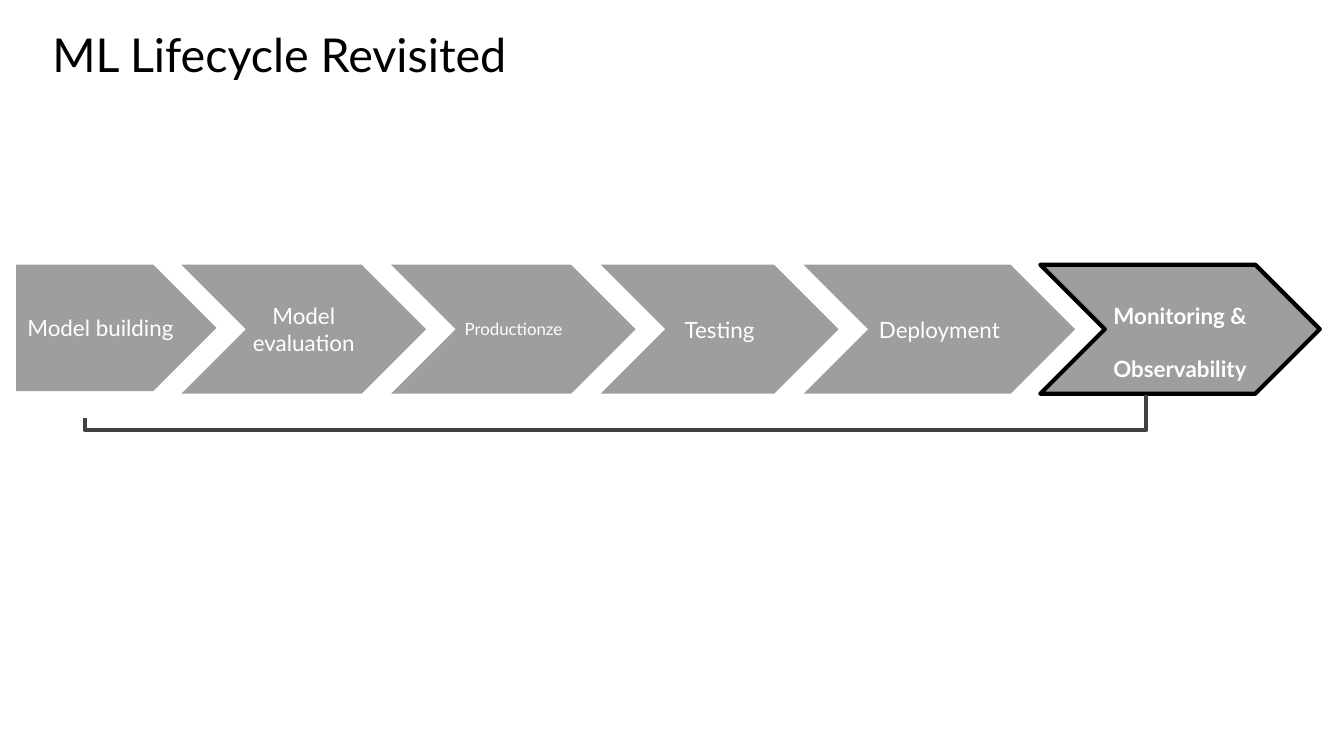
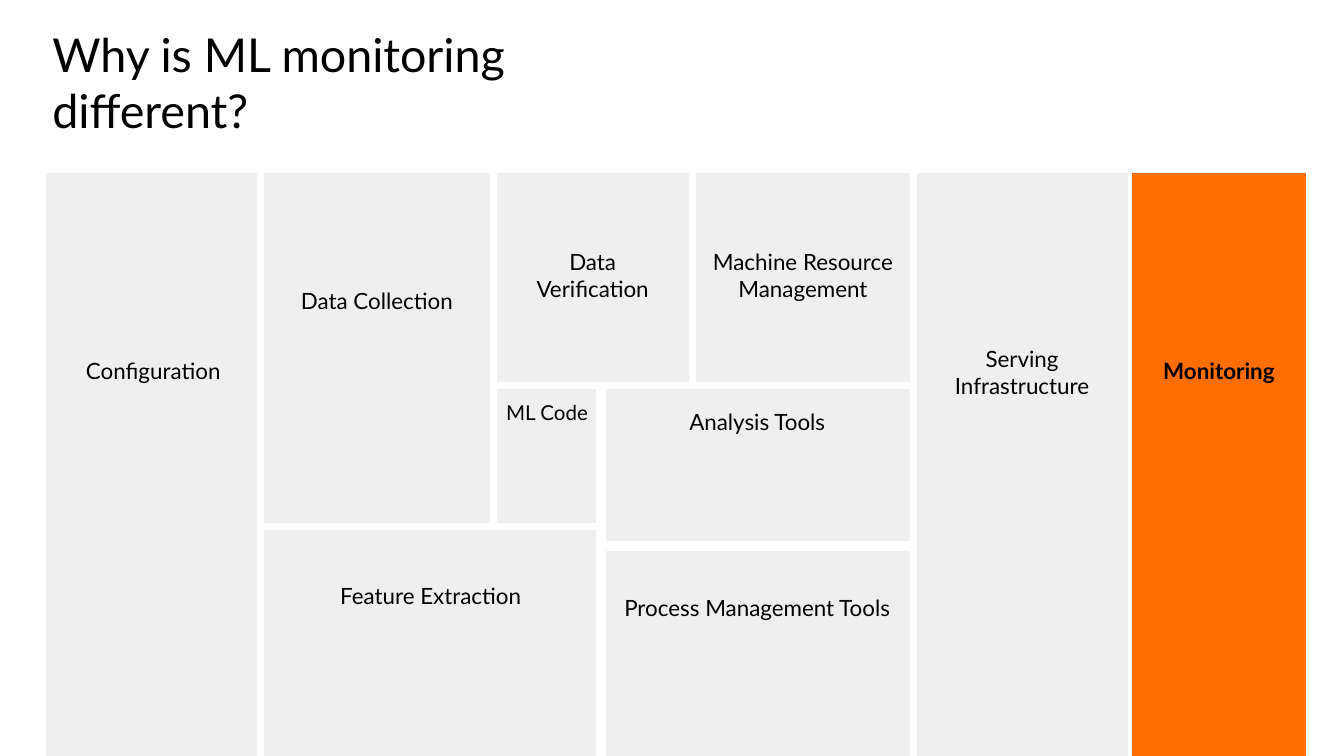
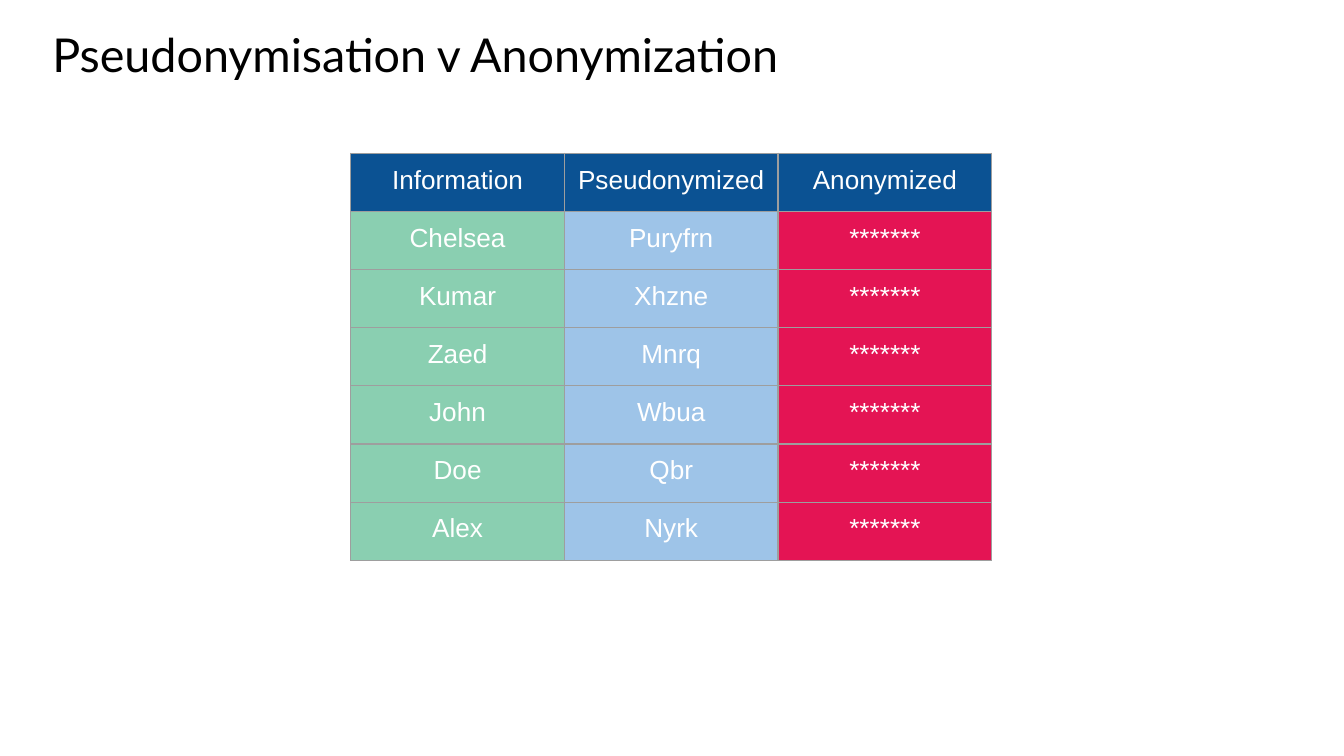
from lxml import etree
from pptx import Presentation
from pptx import util as u
from pptx.dml.color import RGBColor
from pptx.enum import shapes, text
from pptx.oxml import ns

FONT = "Lato"
BLACK, WHITE = "000000", "FFFFFF"
GRAY, DARK_GRAY, PALE_GRAY = "9E9E9E", "424242", "EFEFEF"
ORANGE, NAVY = "FF6E00", "0B5293"
MINT, SKY, CRIMSON = "8ACFB1", "9EC4E8", "E41454"
PLAIN_TABLE = "{2D5ABB26-0587-4C30-8999-92F81FD0307C}"
TITLE_ONLY = 5


def color(value):
    return RGBColor.from_string(value)


def style_text(frame, size, ink, font=FONT, bold=False, align=text.PP_ALIGN.CENTER):
    for para in frame.paragraphs:
        para.alignment = align
        for span in para.runs:
            span.font.name = font
            span.font.size = u.Pt(size)
            span.font.bold = bold
            span.font.color.rgb = color(ink)


def set_margins(target, top=0, side=0):
    target.margin_left = target.margin_right = u.Inches(side)
    target.margin_top, target.margin_bottom = u.Inches(top), 0


def add_titled_slide(deck, title, width):
    slide = deck.slides.add_slide(deck.slide_layouts[TITLE_ONLY])
    box = slide.shapes.title
    box.left, box.top = u.Inches(0.38), u.Inches(0.17)
    box.width, box.height = u.Inches(width), u.Inches(0.45)
    frame = box.text_frame
    frame.text = title
    set_margins(frame, top=0.02, side=0.01)
    frame.vertical_anchor = text.MSO_ANCHOR.TOP
    frame.word_wrap = True
    frame.auto_size = text.MSO_AUTO_SIZE.SHAPE_TO_FIT_TEXT
    style_text(frame, 25, BLACK, align=text.PP_ALIGN.LEFT)
    return slide


def add_stage(slide, preset, label, left, width, height, size=12, bold=False):
    stage = slide.shapes.add_shape(preset, u.Inches(left), u.Inches(1.97),
                                   u.Inches(width), u.Inches(height))
    stage.shadow.inherit = False
    stage.fill.solid()
    stage.fill.fore_color.rgb = color(GRAY)
    stage.line.fill.background()
    frame = stage.text_frame
    frame.text = label
    frame.word_wrap = True
    frame.vertical_anchor = text.MSO_ANCHOR.MIDDLE
    set_margins(frame)
    style_text(frame, size, WHITE, bold=bold)
    return stage


def add_open_path(slide, points, ink, weight):
    start, *rest = [(u.Inches(x), u.Inches(y)) for x, y in points]
    builder = slide.shapes.build_freeform(*start)
    builder.add_line_segments(rest, close=False)
    outline = builder.convert_to_shape()
    outline.shadow.inherit = False
    outline.fill.background()
    outline.line.color.rgb = color(ink)
    outline.line.width = u.Pt(weight)


def add_plain_table(slide, rows, columns, left, top, width, height):
    table = slide.shapes.add_table(rows, columns, u.Inches(left), u.Inches(top),
                                   u.Inches(width), u.Inches(height)).table
    table.first_row = table.horz_banding = False
    table._tbl.tblPr.find(ns.qn("a:tableStyleId")).text = PLAIN_TABLE
    return table


def set_borders(cell, ink, weights):
    """Draw the sides in weights (L, R, T, B to points); call before filling the cell."""
    properties = cell._tc.get_or_add_tcPr()
    for side, weight in weights.items():
        line = etree.SubElement(properties, ns.qn(f"a:ln{side}"), w=str(u.Pt(weight)))
        fill = etree.SubElement(line, ns.qn("a:solidFill"))
        etree.SubElement(fill, ns.qn("a:srgbClr"), val=ink)


def fill_cell(cell, fill):
    cell.fill.solid()
    cell.fill.fore_color.rgb = color(fill)


def write_cell(cell, label, top, side=0, **style):
    set_margins(cell, top, side)
    cell.vertical_anchor = text.MSO_ANCHOR.TOP
    cell.text_frame.text = label
    style_text(cell.text_frame, **style)


def add_lifecycle(deck):
    slide = add_titled_slide(deck, "ML Lifecycle Revisited", 3.44)
    pentagon = shapes.MSO_SHAPE.PENTAGON
    chevron = shapes.MSO_SHAPE.CHEVRON
    overlap = 0.26
    stages = [
        (pentagon, "Model building", 1.49, 0.94, 12),
        (chevron, "Model evaluation", 1.82, 0.96, 12),
        (chevron, "Productionze", 1.82, 0.96, 9),
        (chevron, "Testing", 1.77, 0.96, 12),
        (chevron, "Deployment", 2.02, 0.96, 12),
    ]
    left = 0.12
    for preset, label, width, height, size in stages:
        add_stage(slide, preset, label, left, width, height, size)
        left += width - overlap

    monitoring = add_stage(slide, chevron, "Monitoring & Observability",
                           left, 2.08, 0.96, bold=True)
    monitoring.line.color.rgb = color(BLACK)
    monitoring.line.width = u.Pt(2.25)
    monitoring.text_frame.paragraphs[0].line_spacing = u.Pt(28.4)

    feedback = [(8.53, 2.94), (8.53, 3.2), (0.63, 3.2), (0.63, 3.11)]
    add_open_path(slide, feedback, DARK_GRAY, 2.25)


def add_system_map(deck):
    slide = add_titled_slide(deck, "Why is ML monitoring different?", 4.8)
    widths = [1.6, 1.73, 0.8, 0.68, 1.65, 1.61, 1.32]
    heights = [1.58, 1.05, 0.14, 1.57]
    table = add_plain_table(slide, len(heights), len(widths),
                            0.34, 1.29, sum(widths), sum(heights))
    for column, width in zip(table.columns, widths):
        column.width = u.Inches(width)
    for row, height in zip(table.rows, heights):
        row.height = u.Inches(height)

    # Label, first row, first column, rows, columns, space above, space beside
    blocks = [
        ("Conﬁguration", 0, 0, 4, 1, 1.37, 0),
        ("Data Collection", 0, 1, 2, 1, 0.85, 0),
        ("Data Veriﬁcation", 0, 2, 1, 2, 0.56, 0.25),
        ("Machine Resource Management", 0, 4, 1, 1, 0.56, 0.1),
        ("Serving Infrastructure", 0, 5, 4, 1, 1.28, 0.25),
        ("Monitoring", 0, 6, 4, 1, 1.37, 0),
        ("ML Code", 1, 2, 1, 1, 0.11, 0),
        ("Analysis Tools", 1, 3, 2, 2, 0.17, 0),
        ("Feature Extraction", 2, 1, 2, 2, 0.41, 0),
        ("Process Management Tools", 3, 3, 1, 2, 0.36, 0),
    ]
    gap = 4.25
    column_gaps, row_gaps = {3: 6, 6: 2.25}, {3: 6}
    for label, top, left, rows, columns, space, side in blocks:
        bottom, right = top + rows, left + columns
        featured = label == "Monitoring"
        weights = {}
        if left > 0:
            weights["L"] = column_gaps.get(left, gap)
        if right < len(widths):
            weights["R"] = column_gaps.get(right, gap)
        if top > 0:
            weights["T"] = row_gaps.get(top, gap)
        if bottom < len(heights):
            weights["B"] = row_gaps.get(bottom, gap)
        block = table.cell(top, left)
        if rows * columns > 1:
            block.merge(table.cell(bottom - 1, right - 1))
        set_borders(block, WHITE, weights)
        fill_cell(block, ORANGE if featured else PALE_GRAY)
        write_cell(block, label, space, side, size=11 if label == "ML Code" else 12,
                   ink=BLACK, bold=featured)


def add_name_table(deck):
    slide = add_titled_slide(deck, "Pseudonymisation v Anonymization", 5.48)
    masked = "*******"
    names = [("Chelsea", "Puryfrn"), ("Kumar", "Xhzne"), ("Zaed", "Mnrq"),
             ("John", "Wbua"), ("Doe", "Qbr"), ("Alex", "Nyrk")]
    records = [("Information", "Pseudonymized", "Anonymized")]
    records += [(name, pseudonym, masked) for name, pseudonym in names]
    table = add_plain_table(slide, len(records), 3, 2.61, 1.14, 4.77, 3.03)
    for row, record in enumerate(records):
        fills = (MINT, SKY, CRIMSON) if row else (NAVY,) * 3
        for column, (label, fill) in enumerate(zip(record, fills)):
            cell = table.cell(row, column)
            set_borders(cell, GRAY, dict.fromkeys("LRTB", 0.75))
            fill_cell(cell, fill)
            write_cell(cell, label, 0.09, size=14, ink=WHITE, font="Arial")


def main():
    deck = Presentation()
    deck.slide_width = u.Inches(10)
    deck.slide_height = deck.slide_width * 9 // 16
    add_lifecycle(deck)
    add_system_map(deck)
    add_name_table(deck)
    deck.save("out.pptx")


if __name__ == "__main__":
    main()
